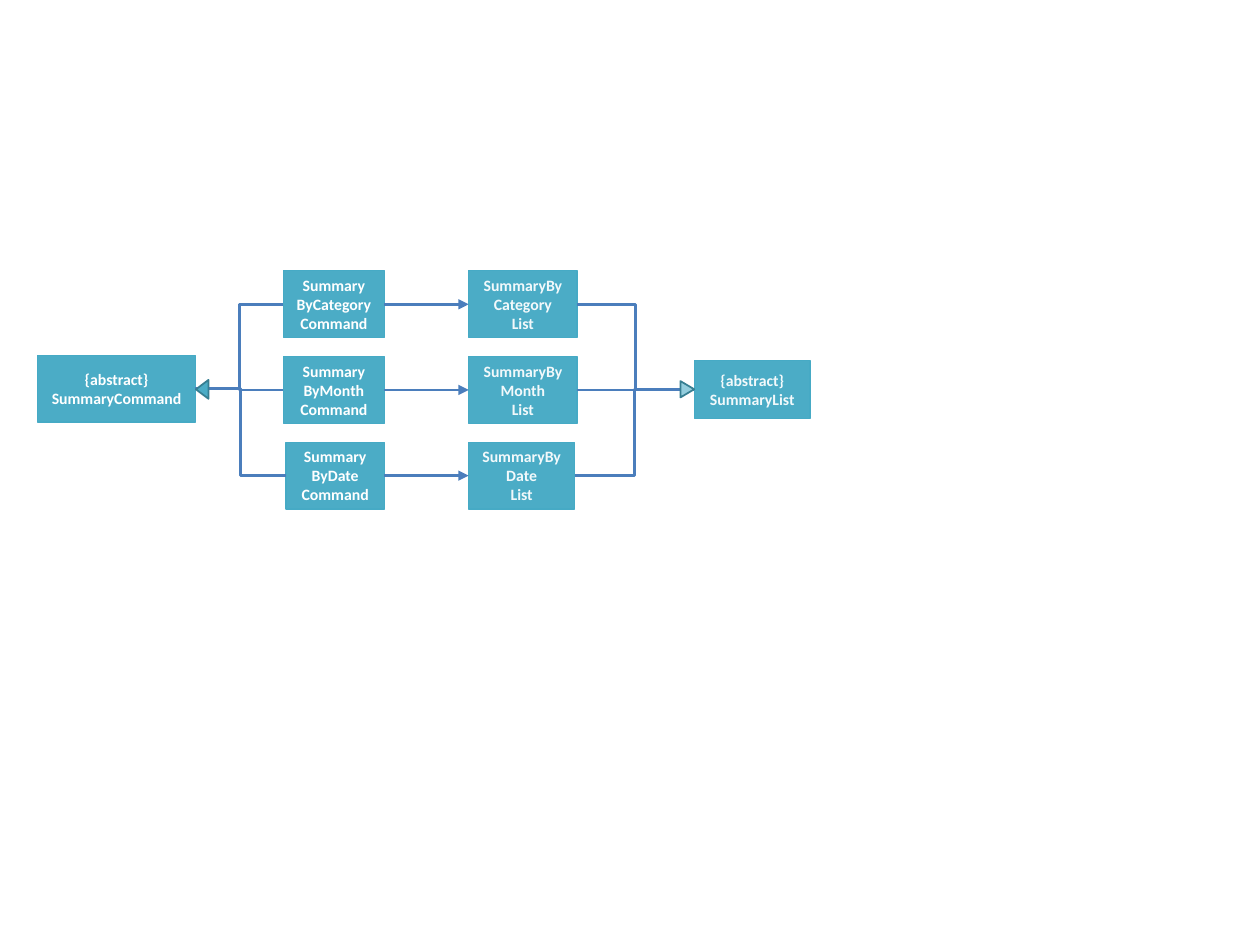
"""Build a class diagram of summary commands and the lists they produce."""
import pptx
import pptx.dml.color
import pptx.enum.shapes
import pptx.enum.text
import pptx.oxml
import pptx.oxml.ns
import pptx.util

Inches = pptx.util.Inches
Pt = pptx.util.Pt
RGBColor = pptx.dml.color.RGBColor
Shape = pptx.enum.shapes.MSO_SHAPE
Connector = pptx.enum.shapes.MSO_CONNECTOR

TEAL = RGBColor(0x4B, 0xAC, 0xC6)
TEAL_EDGE = RGBColor(0x46, 0xAA, 0xC5)
PALE_TEAL = RGBColor(0x93, 0xCD, 0xDD)
DARK_TEAL = RGBColor(0x37, 0x7F, 0x92)
BLUE = RGBColor(0x4B, 0x7E, 0xBC)
WHITE = RGBColor(0xFF, 0xFF, 0xFF)
OFF_WHITE = RGBColor(0xF2, 0xF9, 0xFB)

ROW_TOP, ROW_STEP, ROW_HEIGHT = 2.15, 0.68, 0.53
COMMAND_RIGHT, LIST_LEFT = 3.05, 3.72
TOP, LEFT, BOTTOM, RIGHT = range(4)

deck = pptx.Presentation()
deck.slide_width, deck.slide_height = Inches(10), Inches(7.5)
page = deck.slides.add_slide(deck.slide_layouts[6])


def add_box(lines, left, top, width, height, text_color):
    box = page.shapes.add_shape(
        Shape.RECTANGLE, Inches(left), Inches(top), Inches(width), Inches(height))
    box.shadow.inherit = False
    box.fill.solid()
    box.fill.fore_color.rgb = TEAL
    box.line.color.rgb = TEAL_EDGE
    box.line.width = Pt(0.75)
    frame = box.text_frame
    frame.word_wrap = True
    frame.vertical_anchor = pptx.enum.text.MSO_ANCHOR.MIDDLE
    frame.text = "\n".join(lines)
    for para in frame.paragraphs:
        para.alignment = pptx.enum.text.PP_ALIGN.CENTER
        para.font.name = "Calibri"
        para.font.size = Pt(9)
        para.font.bold = True
        para.font.color.rgb = text_color
    return box


def join(kind, start, start_side, end, end_side):
    link = page.shapes.add_connector(kind, 0, 0, 0, 0)
    link.begin_connect(start, start_side)
    link.end_connect(end, end_side)
    link.line.color.rgb = BLUE
    link.line.width = Pt(1.5)
    link._element.spPr.append(pptx.oxml.parse_xml(
        f"<a:effectLst {pptx.oxml.ns.nsdecls('a')}/>"))
    return link


base_command = add_box(["{abstract}", "SummaryCommand"], 0.3, 2.82, 1.25, ROW_HEIGHT, WHITE)
base_list = add_box(["{abstract}", "SummaryList"], 5.51, 2.86, 0.92, 0.46, OFF_WHITE)

kinds = [
    ("ByCategory", 0.8, ["SummaryBy", "Category", "List"], 0.86),
    ("ByMonth", 0.8, ["SummaryByMonth", "List"], 0.86),
    ("ByDate", 0.78, ["SummaryBy", "Date", "List"], 0.84),
]
for row, (suffix, command_width, list_lines, list_width) in enumerate(kinds):
    top = ROW_TOP + row * ROW_STEP
    command = add_box(["Summary", suffix, "Command"], COMMAND_RIGHT - command_width,
                      top, command_width, ROW_HEIGHT, WHITE)
    summary = add_box(list_lines, LIST_LEFT, top, list_width, ROW_HEIGHT, OFF_WHITE)
    join(Connector.ELBOW, command, LEFT, base_command, RIGHT)
    join(Connector.ELBOW, summary, RIGHT, base_list, LEFT)
    arrow = join(Connector.STRAIGHT, command, RIGHT, summary, LEFT)
    arrow.line._get_or_add_ln().append(pptx.oxml.parse_xml(
        f"<a:tailEnd {pptx.oxml.ns.nsdecls('a')} type='triangle'/>"))

for left, width, height, turn, color in [(1.53, 0.15, 0.1, 270, TEAL),
                                         (5.39, 0.13, 0.11, 90, PALE_TEAL)]:
    marker = page.shapes.add_shape(
        Shape.ISOSCELES_TRIANGLE, Inches(left), Inches(3.09 - height / 2),
        Inches(width), Inches(height))
    marker.rotation = turn
    marker.shadow.inherit = False
    marker.fill.solid()
    marker.fill.fore_color.rgb = color
    marker.line.color.rgb = DARK_TEAL
    marker.line.width = Pt(1)

deck.save("out.pptx")
